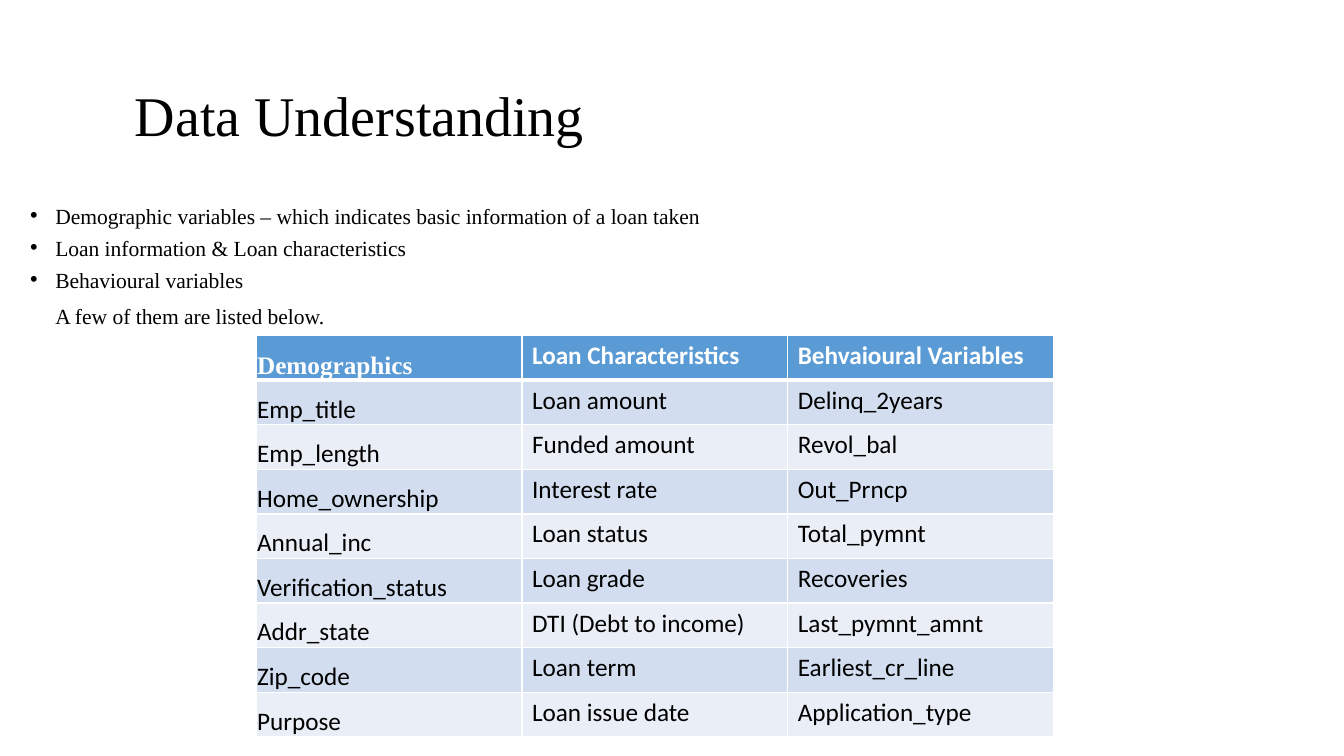
import pptx
import pptx.dml.color
import pptx.enum.text
import pptx.oxml
import pptx.oxml.ns
import pptx.util
from lxml import etree

Inches = pptx.util.Inches
Pt = pptx.util.Pt
ANCHOR = pptx.enum.text.MSO_ANCHOR

COLORS = {
    "text": "000000",
    "white": "FFFFFF",
    "header": "5B9BD5",
    "band_dark": "D2DEEF",
    "band_light": "EAEFF7",
}
SERIF = "Times New Roman"
SANS = "Calibri"

BULLETS = [
    "Demographic variables – which indicates basic information of a loan taken",
    "Loan information & Loan characteristics",
    "Behavioural variables",
]
CLOSING_LINE = "A few of them are listed below."
VARIABLES = [
    ("Demographics", "Loan Characteristics", "Behvaioural Variables"),
    ("Emp_title", "Loan amount", "Delinq_2years"),
    ("Emp_length", "Funded amount", "Revol_bal"),
    ("Home_ownership", "Interest rate", "Out_Prncp"),
    ("Annual_inc", "Loan status", "Total_pymnt"),
    ("Verification_status", "Loan grade", "Recoveries"),
    ("Addr_state", "DTI (Debt to income)", "Last_pymnt_amnt"),
    ("Zip_code", "Loan term", "Earliest_cr_line"),
    ("Purpose", "Loan issue date", "Application_type"),
]


def color(name):
    return pptx.dml.color.RGBColor.from_string(COLORS[name])


def set_font(paragraph, name, size, color_name, bold=False):
    font = paragraph.font
    font.name = name
    font.size = Pt(size)
    font.bold = bold
    font.color.rgb = color(color_name)


def add_text_frame(slide, left, top, width, height):
    shape = slide.shapes.add_textbox(Inches(left), Inches(top), Inches(width), Inches(height))
    shape.text_frame.word_wrap = True
    return shape.text_frame


def add_title(slide, left, top, width, height):
    frame = add_text_frame(slide, left, top, width, height)
    frame.vertical_anchor = ANCHOR.MIDDLE
    paragraph = frame.paragraphs[0]
    paragraph.text = "Data Understanding"
    paragraph.line_spacing = 0.9
    set_font(paragraph, SERIF, 40, "text")


def set_bullet(paragraph, symbol):
    properties = paragraph._p.get_or_add_pPr()
    properties.set("indent", str(Inches(-0.25)))
    font = etree.SubElement(properties, pptx.oxml.ns.qn("a:buFont"))
    font.set("typeface", "Arial")
    bullet = etree.SubElement(properties, pptx.oxml.ns.qn("a:buChar"))
    bullet.set("char", symbol)


def add_variable_groups(slide, left, top, width, height):
    frame = add_text_frame(slide, left, top, width, height)
    for index, text in enumerate(BULLETS + [CLOSING_LINE]):
        paragraph = frame.paragraphs[0] if index == 0 else frame.add_paragraph()
        paragraph.text = text
        paragraph.line_spacing = 0.7
        is_bullet = index < len(BULLETS)
        paragraph.space_before = Pt(10 if is_bullet else 13)
        paragraph._p.get_or_add_pPr().set("marL", str(Inches(0.25)))
        if is_bullet:
            set_bullet(paragraph, "•")
        set_font(paragraph, SERIF, 15.4, "text")


def set_borders(cell, bottom_widths):
    properties = cell._tc.get_or_add_tcPr()
    widths = {"lnL": 1, "lnR": 1, "lnT": bottom_widths[0], "lnB": bottom_widths[1]}
    for position, (side, width) in enumerate(widths.items()):
        line = etree.Element(pptx.oxml.ns.qn("a:" + side))
        line.set("w", str(Pt(width)))
        fill = etree.SubElement(line, pptx.oxml.ns.qn("a:solidFill"))
        etree.SubElement(fill, pptx.oxml.ns.qn("a:srgbClr")).set("val", COLORS["white"])
        properties.insert(position, line)


def fill_cell(cell, text, row, column):
    is_header = row == 0
    cell.text = text
    cell.fill.solid()
    band = "band_dark" if row % 2 else "band_light"
    cell.fill.fore_color.rgb = color("header" if is_header else band)
    if column == 0:
        cell.vertical_anchor = ANCHOR.BOTTOM
        cell.margin_left = cell.margin_right = cell.margin_top = Inches(0.01)
        cell.margin_bottom = 0
    font_name = SERIF if is_header and column == 0 else SANS
    set_font(cell.text_frame.paragraphs[0], font_name, 18,
             "white" if is_header else "text", is_header)
    set_borders(cell, (3 if row == 1 else 1, 3 if is_header else 1))


def add_variable_table(slide, left, top, width, height):
    shape = slide.shapes.add_table(len(VARIABLES), len(VARIABLES[0]), Inches(left),
                                   Inches(top), Inches(width), Inches(height))
    for row, texts in enumerate(VARIABLES):
        for column, text in enumerate(texts):
            fill_cell(shape.table.cell(row, column), text, row, column)


def main():
    presentation = pptx.Presentation()
    presentation.slide_width = Inches(13.33)
    presentation.slide_height = Inches(7.5)
    slide = presentation.slides.add_slide(presentation.slide_layouts[6])
    add_title(slide, 1.24, 0.7, 10.19, 0.94)
    add_variable_groups(slide, 0.2, 2.03, 12.46, 1.3)
    add_variable_table(slide, 2.54, 3.33, 7.91, 3.98)
    presentation.save("out.pptx")


if __name__ == "__main__":
    main()
